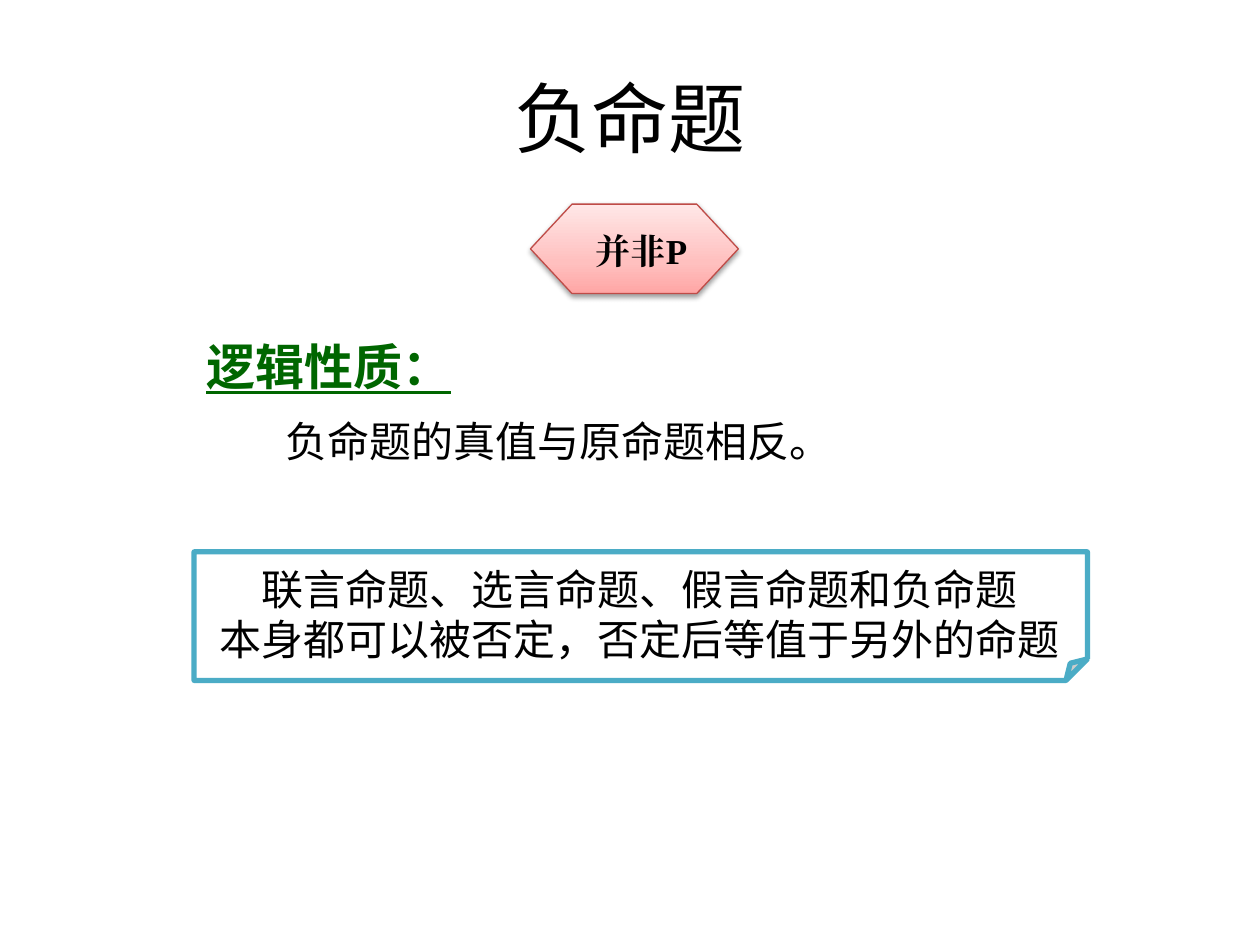
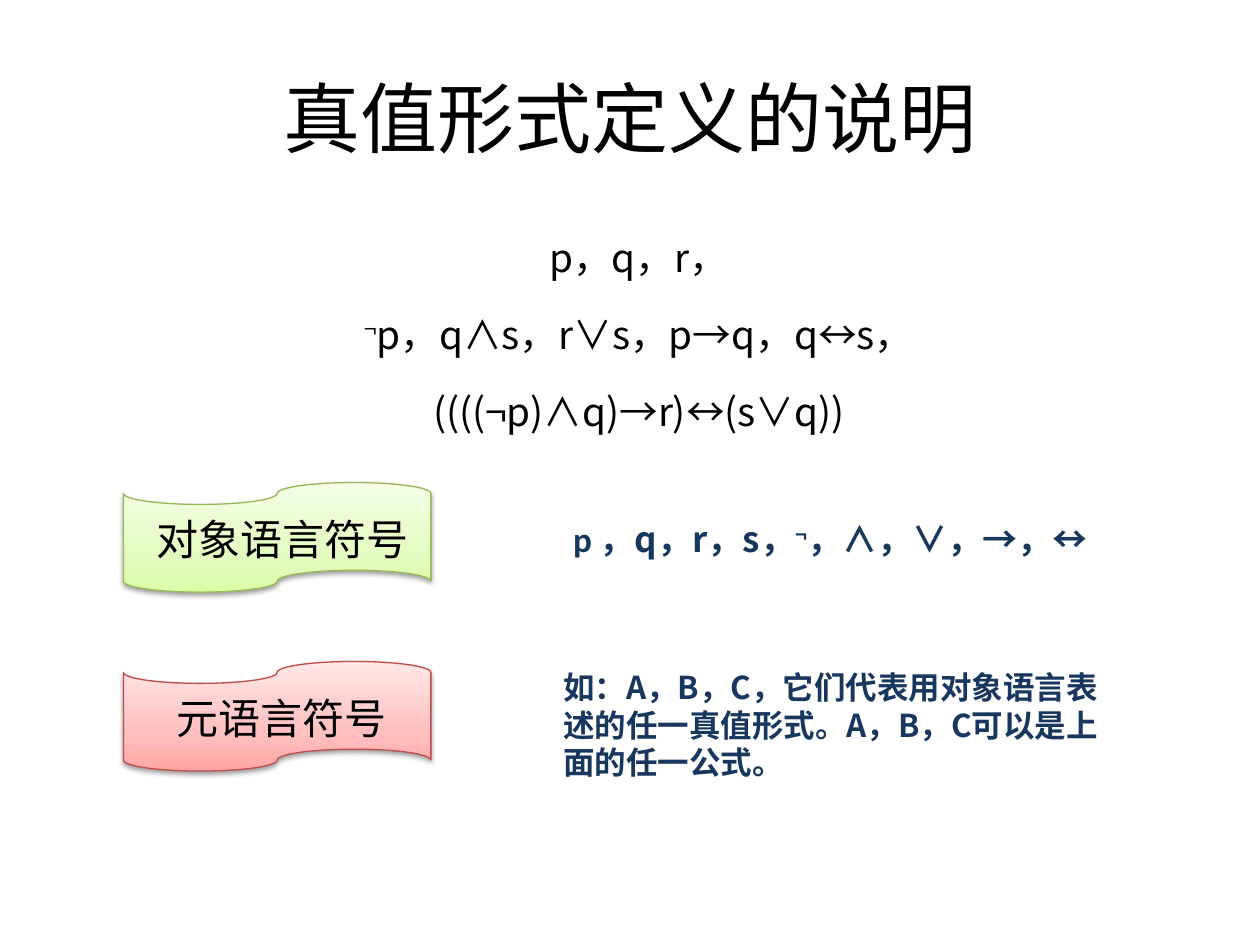
from dataclasses import dataclass

from lxml import etree
from pptx import Presentation
from pptx.dml.color import RGBColor
from pptx.enum import shapes, text
from pptx.oxml import ns
from pptx.util import Emu, Inches, Pt

# Shared look
SANS = "Noto Sans CJK SC"
TITLE_FONT = "Noto Sans CJK JP"
BLACK, WHITE, NAVY, GREEN, TEAL = "000000", "FFFFFF", "17375E", "006600", "4BACC6"
CENTER = text.PP_ALIGN.CENTER
TAPE = shapes.MSO_SHAPE.FLOWCHART_PUNCHED_TAPE


@dataclass(frozen=True)
class Palette:
    stops: tuple[tuple[int, str], ...]
    line: str


RED = Palette(((0, "FFA6A5"), (35, "FFC0BF"), (100, "FFE7E7")), "BF4C48")
LIME = Palette(((0, "DAFDA7"), (35, "E4FCC2"), (100, "F5FFE7")), "98B955")


@dataclass(frozen=True)
class Area:
    left: float
    top: float
    width: float
    height: float

    def emu(self) -> tuple[Emu, ...]:
        return tuple(Inches(v) for v in (self.left, self.top, self.width, self.height))


@dataclass(frozen=True)
class Style:
    size: float
    color: str = BLACK
    font: str = SANS
    bold: bool = False
    underline: bool = False
    align: text.PP_ALIGN = text.PP_ALIGN.LEFT


@dataclass(frozen=True)
class Run:
    text: str
    font: str = ""
    raised: bool = False


BODY = Style(24)
TITLE = Style(44, font=TITLE_FONT, align=CENTER)


def rgb(color: str) -> RGBColor:
    return RGBColor.from_string(color)


def add_node(parent, tag: str, **attrs):
    return etree.SubElement(parent, ns.qn(tag), {k: str(v) for k, v in attrs.items()})


def format_run(r, style: Style, font: str = "", raised: bool = False) -> None:
    f = r.font
    f.size, f.bold, f.underline = Pt(style.size), style.bold, style.underline
    f.color.rgb = rgb(style.color)
    f.name = font or style.font
    add_node(r._r.get_or_add_rPr(), "a:ea", typeface=font or style.font)
    if raised:
        r._r.get_or_add_rPr().set("baseline", "30000")


def write(tf, paragraphs: list[list[Run]], style: Style) -> None:
    for i, runs in enumerate(paragraphs):
        p = tf.paragraphs[0] if i == 0 else tf.add_paragraph()
        p.alignment = style.align
        for run in runs:
            r = p.add_run()
            r.text = run.text
            format_run(r, style, run.font, run.raised)


def add_text(slide, area: Area, paragraphs: list[list[Run]], style: Style):
    tf = slide.shapes.add_textbox(*area.emu()).text_frame
    tf.word_wrap = True
    write(tf, paragraphs, style)
    return tf


def add_shape(slide, kind: shapes.MSO_SHAPE, area: Area, line: str, weight: float):
    sp = slide.shapes.add_shape(kind, *area.emu())
    sp.shadow.inherit = False
    sp.line.color.rgb = rgb(line)
    sp.line.width = Pt(weight)
    return sp


def add_glossy(slide, kind: shapes.MSO_SHAPE, area: Area, palette: Palette) -> None:
    """Three-stop gradient, darkest at the bottom, over a soft shadow."""
    sp = add_shape(slide, kind, area, palette.line, 0.75)
    sp.fill.gradient()
    sp.fill.gradient_angle = 90
    props = sp._element.spPr
    stops = props.find(".//" + ns.qn("a:gsLst"))
    for old in list(stops):
        stops.remove(old)
    for percent, color in palette.stops:
        add_node(add_node(stops, "a:gs", pos=percent * 1000), "a:srgbClr", val=color)
    shadow = add_node(props.find(ns.qn("a:effectLst")), "a:outerShdw",
                      blurRad=Pt(3.1), dist=Pt(1.6), dir=90 * 60000, rotWithShape=0)
    add_node(add_node(shadow, "a:srgbClr", val=BLACK), "a:alpha", val=38000)


def add_slide(prs, title: str):
    slide = prs.slides.add_slide(prs.slide_layouts[5])
    sp = slide.shapes.title
    sp.left, sp.top, sp.width, sp.height = Area(0.5, 0.3, 9, 1.25).emu()
    sp.text_frame.vertical_anchor = text.MSO_ANCHOR.MIDDLE
    write(sp.text_frame, [[Run(title)]], TITLE)
    return slide


def build_negation(prs) -> None:
    slide = add_slide(prs, "负命题")

    # Form of the proposition
    add_glossy(slide, shapes.MSO_SHAPE.FLOWCHART_PREPARATION, Area(4.21, 1.62, 1.65, 0.71), RED)
    add_text(slide, Area(4.63, 1.77, 1.16, 0.44), [[Run("并非P")]],
             Style(20, font="Times New Roman", bold=True))

    # Logical property
    add_text(slide, Area(1.54, 2.62, 2.2, 0.57), [[Run("逻辑性质：")]],
             Style(28, GREEN, bold=True, underline=True))
    add_text(slide, Area(2.17, 3.25, 6.93, 0.5), [[Run("负命题的真值与原命题相反。")]], BODY)

    # Note on a folded sheet
    sheet = add_shape(slide, shapes.MSO_SHAPE.FOLDED_CORNER, Area(1.54, 4.38, 7.09, 1.02), TEAL, 3)
    sheet.fill.solid()
    sheet.fill.fore_color.rgb = rgb(WHITE)
    add_text(slide, Area(1.61, 4.42, 6.93, 0.91),
             [[Run("联言命题、选言命题、假言命题和负命题")],
              [Run("本身都可以被否定，否定后等值于另外的命题")]],
             Style(24, font=TITLE_FONT, align=CENTER))


def build_truth_forms(prs) -> None:
    slide = add_slide(prs, "真值形式定义的说明")

    # Sample formulas
    formulas = [[Run("p，q，r，")],
                [Run("¬", raised=True), Run("p，q∧s，r∨s，p→q，q↔s，")],
                [Run("((((¬p)∧q)→r)↔(s∨q))")]]
    tf = add_text(slide, Area(0.51, 1.62, 9, 2), formulas, Style(22.1, align=CENTER))
    for i, p in enumerate(tf.paragraphs):
        p.line_spacing = 1.5
        if i:
            p.space_before = Pt(4.4)
        props = p._p.get_or_add_pPr()
        props.set("marL", str(Inches(0.4)))
        props.set("indent", str(Inches(-0.28)))

    # Two kinds of symbols, each on a tape
    tapes = [("对象语言符号", 1.14, 3.83, LIME), ("元语言符号", 1.3, 5.25, RED)]
    for label, left, top, palette in tapes:
        add_glossy(slide, TAPE, Area(0.98, top, 2.44, 0.87), palette)
        add_text(slide, Area(left, top + 0.2, 2.22, 0.5), [[Run(label)]], BODY)

    # Explanations beside the tapes
    symbols = [Run("p", font="Calibri"), Run(" ，q，r，s，"),
               Run("¬", raised=True), Run("，∧，∨，→，↔")]
    add_text(slide, Area(4.45, 4.06, 4.8, 0.44), [symbols], Style(20, NAVY, bold=True))
    meta = "如：A，B，C，它们代表用对象语言表述的任一真值形式。A，B，C可以是上面的任一公式。"
    add_text(slide, Area(4.37, 5.25, 4.65, 1.31), [[Run(meta)]], Style(18, NAVY, bold=True))


def main() -> None:
    prs = Presentation()
    prs.slide_width, prs.slide_height = Inches(10), Inches(7.5)
    build_negation(prs)
    build_truth_forms(prs)
    prs.save("out.pptx")


if __name__ == "__main__":
    main()
